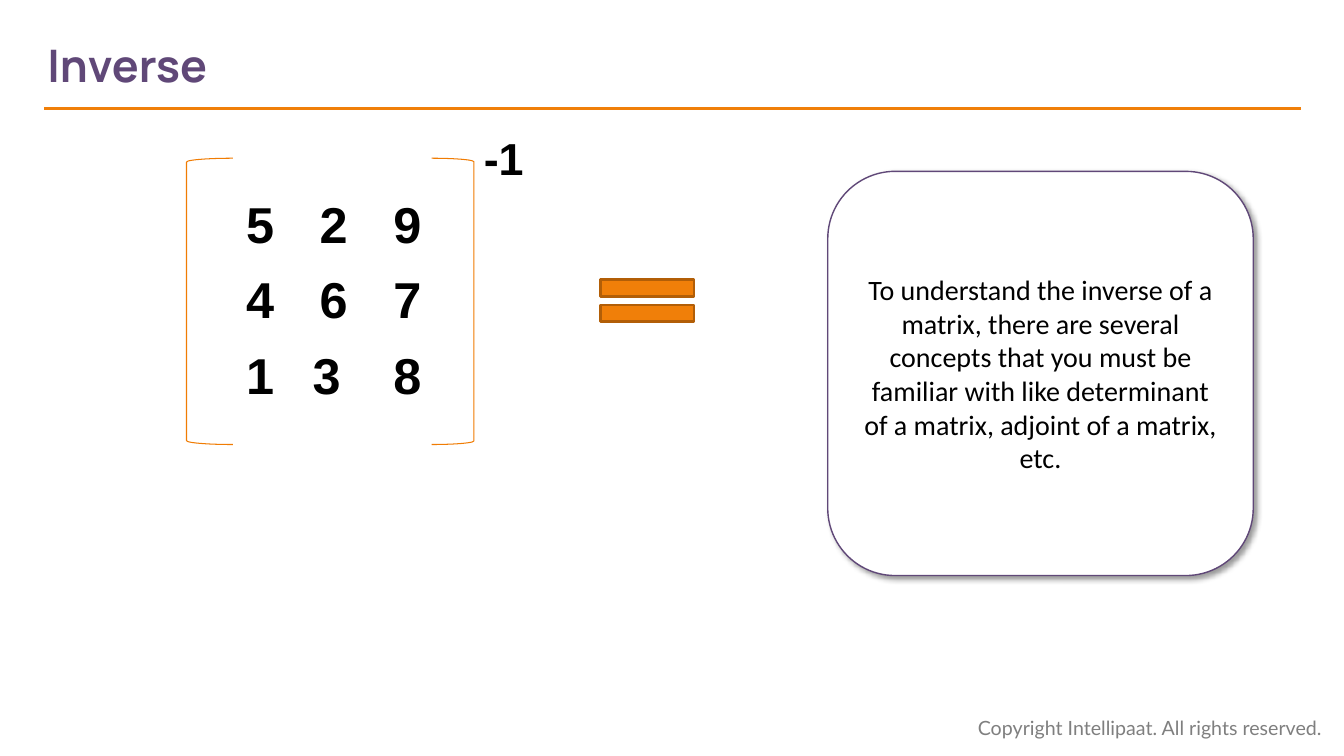
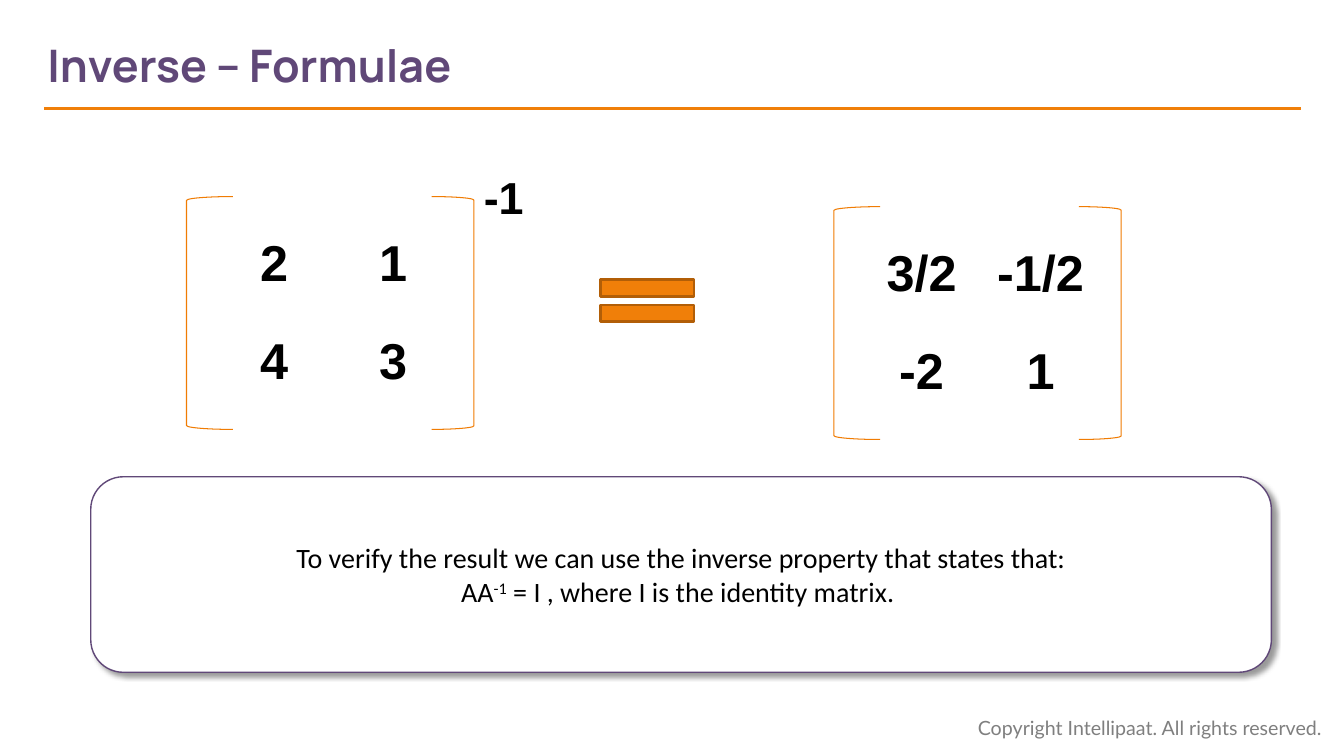
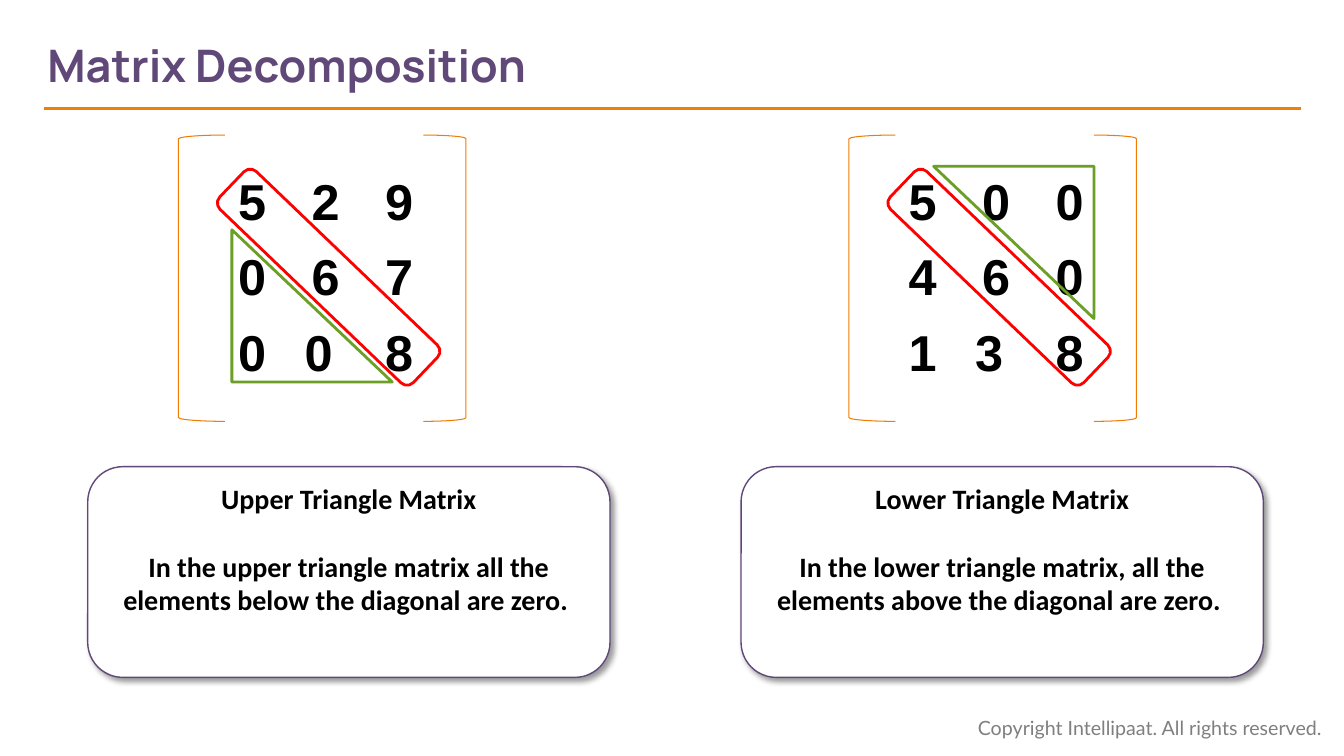
import pptx
import pptx.util
import pptx.dml.color
import pptx.enum.shapes
import pptx.enum.text
import pptx.oxml
import pptx.oxml.ns

Inches = pptx.util.Inches
Pt = pptx.util.Pt
MSO = pptx.enum.shapes.MSO_SHAPE
ALIGN = pptx.enum.text.PP_ALIGN
ANCHOR = pptx.enum.text.MSO_ANCHOR

PURPLE, ORANGE, BRACKET, RUST = "604878", "F07F09", "F07C03", "B25E07"
BLACK, WHITE, GREY, RED, GREEN = "000000", "FFFFFF", "7F7F7F", "FF0000", "6B9F25"
NS = 'xmlns:a="http://schemas.openxmlformats.org/drawingml/2006/main"'
SHADOW = (
    f'<a:outerShdw {NS} blurRad="50800" dist="38100" dir="2700000" algn="tl" rotWithShape="0">'
    '<a:srgbClr val="000000"><a:alpha val="40000"/></a:srgbClr></a:outerShdw>'
)


def rgb(value):
    return pptx.dml.color.RGBColor.from_string(value)


def box(x, y, w, h):
    return Inches(x), Inches(y), Inches(w), Inches(h)


def write(p, text, size=20, font="Calibri", color=BLACK, bold=False, align=None, baseline=None):
    if align is not None:
        p.alignment = align
    r = p.add_run()
    r.text = text
    r.font.size, r.font.name, r.font.bold = Pt(size), font, bold
    r.font.color.rgb = rgb(color)
    if baseline:
        r._r.get_or_add_rPr().set("baseline", str(baseline * 1000))


def add_text(s, x, y, w, h, text, **fmt):
    tf = s.shapes.add_textbox(*box(x, y, w, h)).text_frame
    tf.word_wrap = True
    write(tf.paragraphs[0], text, **fmt)


def add_outline(s, kind, x, y, w, h, line, width, fill=None, rotation=0):
    sp = s.shapes.add_shape(kind, *box(x, y, w, h))
    sp.shadow.inherit = False
    sp.rotation = rotation
    sp.line.color.rgb = rgb(line)
    sp.line.width = Pt(width)
    if fill:
        sp.fill.solid()
        sp.fill.fore_color.rgb = rgb(fill)
    else:
        sp.fill.background()
    return sp


def add_slide(prs, title):
    s = prs.slides.add_slide(prs.slide_layouts[5])
    sp = s.shapes.title
    sp.left, sp.top, sp.width, sp.height = box(0.47, 0.22, 9.47, 0.84)
    tf = sp.text_frame
    tf.margin_left = 0
    tf.vertical_anchor = ANCHOR.MIDDLE
    write(tf.paragraphs[0], title, size=32, font="Manrope", color=PURPLE, bold=True, align=ALIGN.LEFT)
    rule = s.shapes.add_connector(
        pptx.enum.shapes.MSO_CONNECTOR.STRAIGHT, Inches(12.9), Inches(1.08), Inches(0.44), Inches(1.08))
    rule.line.color.rgb = rgb(ORANGE)
    rule.line.width = Pt(2.25)
    rule._element.spPr.append(pptx.oxml.parse_xml(f"<a:effectLst {NS}/>"))
    add_text(s, 9.6, 7.05, 3.67, 0.34, "Copyright Intellipaat. All rights reserved.",
             size=14, font="Lato", color=GREY)
    return s


def add_matrix(s, x, y, rows, cell_w=0.73, cell_h=0.75, h=2.84, power=None):
    add_outline(s, MSO.LEFT_BRACKET, x, y, 0.46, h, BRACKET, 0.75)
    add_outline(s, MSO.RIGHT_BRACKET, x + 2.43, y, 0.42, h, BRACKET, 0.75)
    if power:
        add_text(s, x + 2.85, y - 0.32, 0.69, 0.64, power, size=32, font="Arial", bold=True)
    n = len(rows)
    w, table_h = n * cell_w, n * cell_h
    table = s.shapes.add_table(n, n, *box(x + 1.46 - w / 2, y + (h - table_h) / 2, w, table_h)).table
    table.first_row = table.horz_banding = False
    for i, row in enumerate(rows):
        for j, value in enumerate(row):
            cell = table.cell(i, j)
            cell.fill.background()
            cell.vertical_anchor = ANCHOR.MIDDLE
            write(cell.text_frame.paragraphs[0], value, size=36, font="Arial", bold=True, align=ALIGN.CENTER)


def add_card(s, x, y, w, h, paragraphs, anchor=ANCHOR.MIDDLE, bold=False, gap=0):
    sp = add_outline(s, MSO.ROUNDED_RECTANGLE, x, y, w, h, PURPLE, 1, fill=WHITE)
    sp._element.spPr.find(pptx.oxml.ns.qn("a:effectLst")).append(pptx.oxml.parse_xml(SHADOW))
    tf = sp.text_frame
    tf.word_wrap = True
    tf.vertical_anchor = anchor
    for i, runs in enumerate(paragraphs):
        p = tf.add_paragraph() if i else tf.paragraphs[0]
        if i:
            p.space_before = Pt(gap)
        for text, baseline in runs:
            write(p, text, bold=bold, align=ALIGN.CENTER, baseline=baseline)


def add_equals(s):
    add_outline(s, MSO.MATH_EQUAL, 5.79, 2.63, 1.26, 0.71, RUST, 2, fill=ORANGE)


def add_triangle_panel(s, matrix_x, card_x, rows, triangle, heading, body):
    y = 1.34
    add_matrix(s, matrix_x, y, rows)
    add_outline(s, MSO.FLOWCHART_ALTERNATE_PROCESS, matrix_x + 1.23, y + 0.08, 0.52, 2.66,
                RED, 2, rotation=313.8)
    dx, dy, rotation = triangle
    add_outline(s, MSO.RIGHT_TRIANGLE, matrix_x + dx, y + dy, 1.59, 1.51, GREEN, 2, rotation=rotation)
    add_card(s, card_x, 4.63, 5.18, 2.09, [[(heading, None)], [(body, None)]],
             anchor=ANCHOR.TOP, bold=True, gap=24)


def inverse_slide(prs):
    s = add_slide(prs, "Inverse")
    add_matrix(s, 1.85, 1.57, [["5", "2", "9"], ["4", "6", "7"], ["1", "3 ", "8"]], power="-1")
    add_equals(s)
    add_card(s, 8.21, 1.7, 4.22, 4.01, [[(
        "To understand the inverse of a matrix, there are several concepts that you must be "
        "familiar with like determinant of a matrix, adjoint of a matrix, etc.", None)]])


def formulae_slide(prs):
    s = add_slide(prs, "Inverse – Formulae")
    square = {"cell_w": 1.18, "cell_h": 0.98, "h": 2.31}
    add_matrix(s, 1.85, 1.95, [["2", "1"], ["4", "3"]], power="-1", **square)
    add_equals(s)
    add_matrix(s, 8.27, 2.05, [["3/2", "-1/2"], ["-2", "1"]], **square)
    add_card(s, 0.9, 4.73, 11.71, 1.94, [
        [("To verify the result we can use the inverse property that states that:", None)],
        [("AA", None), ("-1", 30), (" = I , where I is the identity matrix. ", None)],
    ])


def decomposition_slide(prs):
    s = add_slide(prs, "Matrix Decomposition")
    add_triangle_panel(
        s, 1.77, 0.87, [["5", "2", "9"], ["0", "6", "7"], ["0", "0 ", "8"]], (0.53, 0.94, 0),
        "Upper Triangle Matrix",
        "In the upper triangle matrix all the elements below the diagonal are zero. ")
    add_triangle_panel(
        s, 8.42, 7.35, [["5", "0", "0"], ["4", "6", "0"], ["1", "3 ", "8"]], (0.84, 0.31, 180),
        "Lower Triangle Matrix",
        "In the lower triangle matrix, all the elements above the diagonal are zero. ")


def main():
    prs = pptx.Presentation()
    prs.slide_width, prs.slide_height = Inches(13.33), Inches(7.5)
    inverse_slide(prs)
    formulae_slide(prs)
    decomposition_slide(prs)
    prs.save("out.pptx")


if __name__ == "__main__":
    main()
